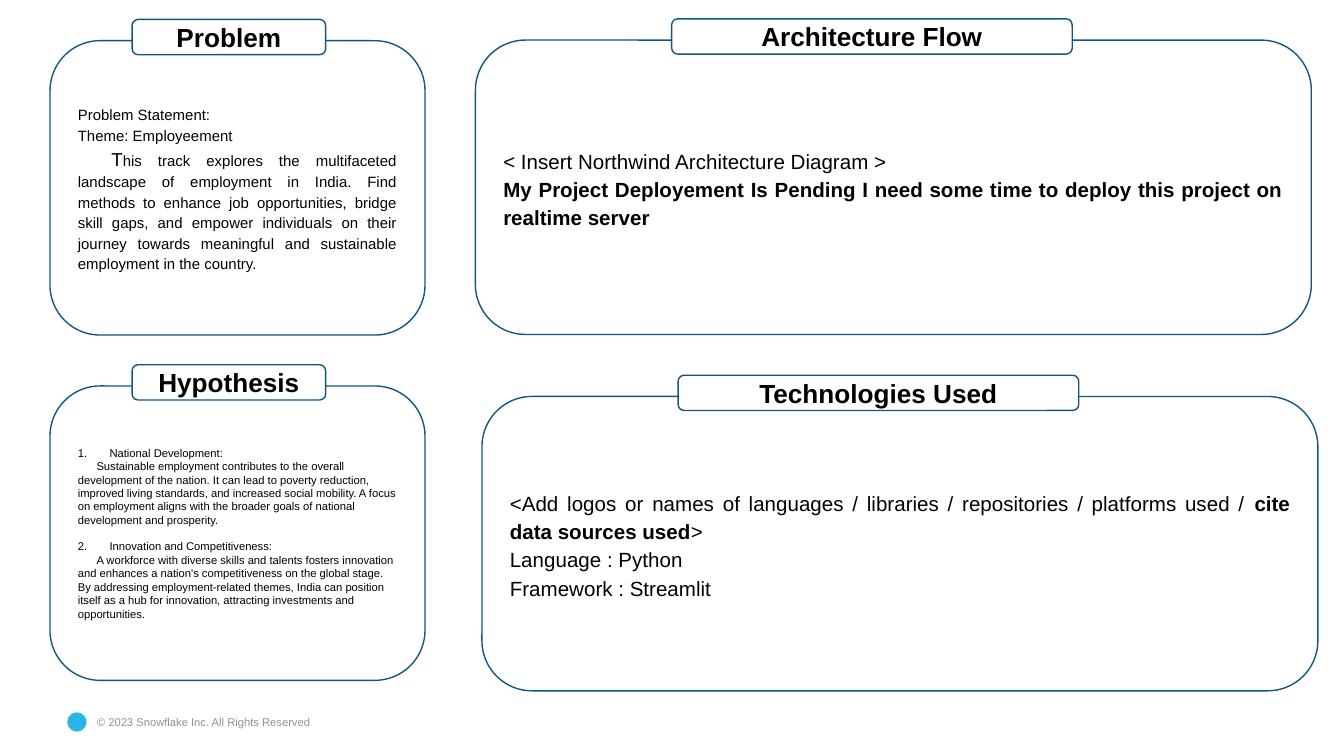
from dataclasses import dataclass

import pptx
import pptx.dml.color
import pptx.enum.shapes
import pptx.enum.text
import pptx.oxml.ns
import pptx.util
from lxml import etree

Pt = pptx.util.Pt
RGB = pptx.dml.color.RGBColor.from_string
Shape = pptx.enum.shapes.MSO_SHAPE
Align = pptx.enum.text.PP_ALIGN
Anchor = pptx.enum.text.MSO_ANCHOR


@dataclass(frozen=True)
class Theme:
    font: str = "Arial"
    ink: str = "000000"
    paper: str = "FFFFFF"
    outline: str = "11567F"
    accent: str = "29B5E8"
    muted: str = "929292"
    heading: float = 14
    large: float = 11
    initial: float = 10
    body: float = 8
    small: float = 6


@dataclass(frozen=True)
class Run:
    text: str
    size: float
    bold: bool = False
    color: str = Theme.ink


@dataclass(frozen=True)
class Para:
    runs: tuple[Run, ...]
    align: Align = Align.JUSTIFY
    spacing: float = 1.15
    before: float = 0
    indent: float = 0
    number: int = 0


@dataclass(frozen=True)
class Column:
    width: float
    tag_dx: float
    tag_width: float


@dataclass(frozen=True)
class Panel:
    heading: str
    column: Column
    left: float
    top: float
    paras: tuple[Para, ...]


THEME = Theme()
NARROW = Column(200.9, 44, 103.7)
WIDE = Column(447.8, 105.1, 214.6)
PANEL_HEIGHT, TAG_HEIGHT, TAG_RISE = 157.7, 18.9, 11.4
INSET, NUMBER_INDENT = 7.2, 17


def line(text: str, size: float, **format) -> Para:
    return Para((Run(text, size),), **format)


def reason(number: int, title: str, text: str, before: float = 0) -> tuple[Para, Para]:
    """A numbered title followed by its explanation."""
    plain = dict(align=Align.LEFT, spacing=1)
    return (line(title, THEME.small, number=number, before=before, **plain),
            line(text, THEME.small, indent=10, **plain))


PANELS = (
    Panel("Hypothesis", NARROW, 26.8, 206.8, (
        *reason(1, "National Development:",
                "Sustainable employment contributes to the overall development of the nation. "
                "It can lead to poverty reduction, improved living standards, and increased "
                "social mobility. A focus on employment aligns with the broader goals of "
                "national development and prosperity."),
        *reason(2, "Innovation and Competitiveness:",
                "A workforce with diverse skills and talents fosters innovation and enhances "
                "a nation's competitiveness on the global stage. By addressing "
                "employment-related themes, India can position itself as a hub for "
                "innovation, attracting investments and opportunities.", before=7))),
    Panel("Problem", NARROW, 26.8, 21.8, (
        line("Problem Statement:", THEME.body),
        line("Theme: Employeement", THEME.body),
        Para((Run("T", THEME.initial),
              Run("his track explores the multifaceted landscape of employment in India. "
                  "Find methods to enhance job opportunities, bridge skill gaps, and empower "
                  "individuals on their journey towards meaningful and sustainable "
                  "employment in the country.", THEME.body)), indent=18))),
    Panel("Architecture Flow", WIDE, 254.7, 21.5, (
        line("< Insert Northwind Architecture Diagram >", THEME.large),
        Para((Run("My Project Deployement Is Pending I need some time to deploy this "
                  "project on realtime server", THEME.large, True),)))),
    Panel("Technologies Used", WIDE, 258.2, 212.4, (
        Para((Run("<Add logos or names of languages / libraries / repositories / "
                  "platforms used / ", THEME.large),
              Run("cite data sources used", THEME.large, True),
              Run(">", THEME.large))),
        line("Language : Python", THEME.large),
        line("Framework : Streamlit", THEME.large))),
)


def write(tf, paras: tuple[Para, ...], inset: float) -> None:
    tf.word_wrap = True
    tf.margin_left = tf.margin_right = tf.margin_top = tf.margin_bottom = Pt(inset)
    for i, para in enumerate(paras):
        p = tf.paragraphs[0] if i == 0 else tf.add_paragraph()
        p_pr = p._p.get_or_add_pPr()
        if para.number:
            p_pr.set("marL", str(Pt(NUMBER_INDENT)))
            p_pr.set("indent", str(-Pt(NUMBER_INDENT)))
            etree.SubElement(p_pr, pptx.oxml.ns.qn("a:buAutoNum"),
                             type="arabicPeriod", startAt=str(para.number))
        elif para.indent:
            p_pr.set("indent", str(Pt(para.indent)))
        p.alignment = para.align
        p.line_spacing = para.spacing
        p.space_before = Pt(para.before)
        for run in para.runs:
            r = p.add_run()
            r.text = run.text
            r.font.name = THEME.font
            r.font.size = Pt(run.size)
            r.font.bold = run.bold
            r.font.color.rgb = RGB(run.color)


def draw_box(s, left: float, top: float, width: float, height: float,
             paras: tuple[Para, ...]) -> None:
    sp = s.shapes.add_shape(Shape.ROUNDED_RECTANGLE, Pt(left), Pt(top), Pt(width), Pt(height))
    sp.shadow.inherit = False
    sp.adjustments[0] = 0.17
    sp.fill.solid()
    sp.fill.fore_color.rgb = RGB(THEME.paper)
    sp.line.color.rgb = RGB(THEME.outline)
    sp.line.width = Pt(0.75)
    sp.text_frame.vertical_anchor = Anchor.MIDDLE
    write(sp.text_frame, paras, INSET)


def draw_panel(s, panel: Panel) -> None:
    column = panel.column
    heading = Para((Run(panel.heading, THEME.heading, True),), Align.CENTER, 1)
    draw_box(s, panel.left, panel.top, column.width, PANEL_HEIGHT, panel.paras)
    draw_box(s, panel.left + column.tag_dx, panel.top - TAG_RISE,
             column.tag_width, TAG_HEIGHT, (heading,))


def draw_footer(s) -> None:
    mark = s.shapes.add_shape(Shape.OVAL, Pt(36), Pt(381.6), Pt(10.4), Pt(10.4))
    mark.shadow.inherit = False
    mark.fill.solid()
    mark.fill.fore_color.rgb = RGB(THEME.accent)
    mark.line.fill.background()
    sp = s.shapes.add_textbox(Pt(52), Pt(383), Pt(132.5), Pt(7.2))
    notice = Run("© 2023 Snowflake Inc. All Rights Reserved", THEME.small, color=THEME.muted)
    write(sp.text_frame, (Para((notice,), Align.LEFT, 1),), 0)


def main() -> None:
    prs = pptx.Presentation()
    prs.slide_width, prs.slide_height = Pt(720), Pt(405)
    s = prs.slides.add_slide(prs.slide_layouts[6])
    draw_footer(s)
    for panel in PANELS:
        draw_panel(s, panel)
    prs.save("out.pptx")


if __name__ == "__main__":
    main()
